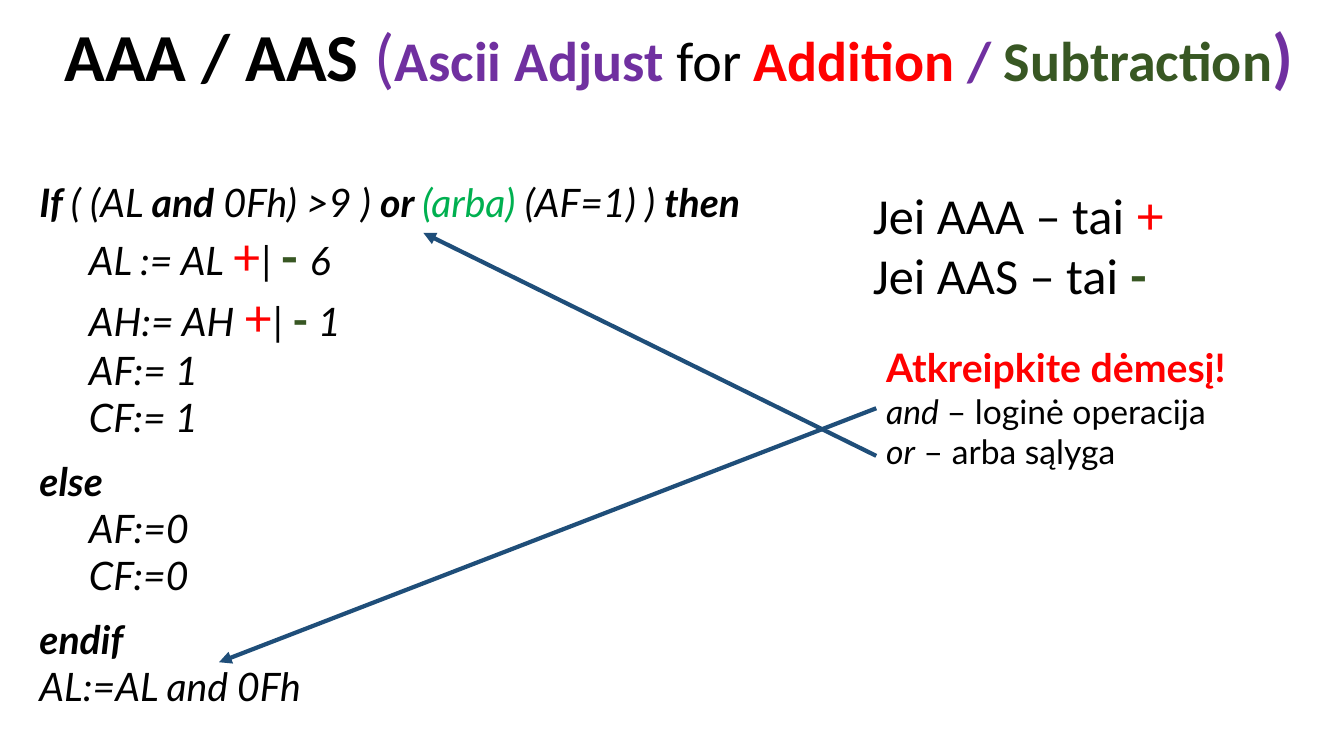
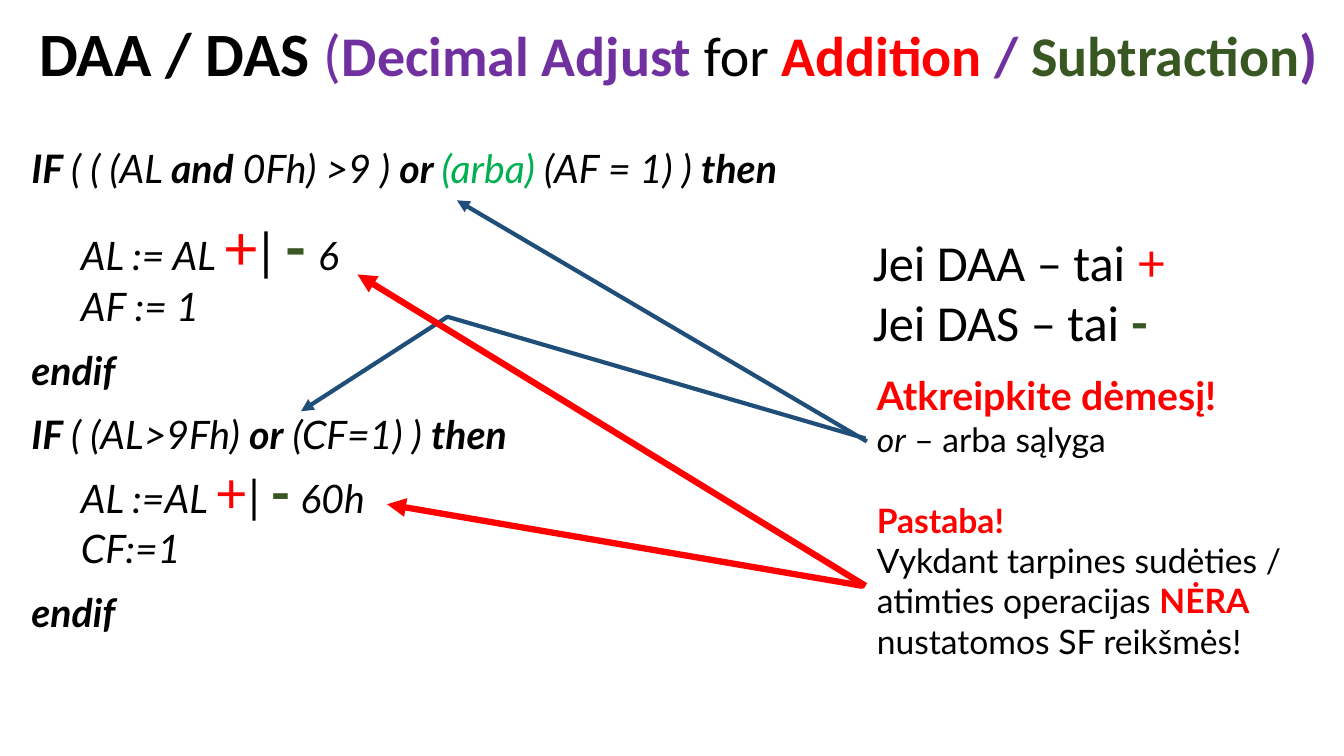
from lxml import etree
from pptx import Presentation
from pptx import util as u
from pptx.dml.color import RGBColor
from pptx.enum import shapes, text
from pptx.oxml.ns import qn

# Shared look
BLACK = RGBColor(0x00, 0x00, 0x00)
RED = RGBColor(0xFF, 0x00, 0x00)
GREEN = RGBColor(0x00, 0xB0, 0x50)
DARK_GREEN = RGBColor(0x38, 0x57, 0x23)
PURPLE = RGBColor(0x70, 0x30, 0xA0)
NAVY = RGBColor(0x1F, 0x4E, 0x79)

WIDTH, HEIGHT = u.Inches(13.33), u.Inches(7.5)
TITLE_AREA = (1.6, 1.3, 97.8, 12)
TAB_STOP = u.Inches(0.49)


def style(size, color=BLACK, name="Lato", bold=False, italic=False):
    return {"size": u.Pt(size), "color": color, "name": name, "bold": bold, "italic": italic}


CODE = style(28, italic=True)
KEYWORD = style(28, bold=True, italic=True)
OR_HINT = style(28, GREEN, italic=True)
RULE = style(36, name="Calibri")
ALERT = style(28, RED, bold=True)
NOTE = style(24)
NOTE_TERM = style(24, italic=True)
NOTE_ALERT = style(24, RED, bold=True)


# Positions are percentages of the slide's width and height
def across(share):
    return round(WIDTH * share / 100)


def down(share):
    return round(HEIGHT * share / 100)


# Text
def add_span(para, words, look):
    for index, line in enumerate(words.split("\n")):
        if index:
            para.add_line_break()
        if line:
            span = para.add_run()
            span.text = line
            for key, value in look.items():
                if key == "color":
                    span.font.color.rgb = value
                else:
                    setattr(span.font, key, value)


def add_text(page, area, paragraphs, wrap=True, **layout):
    left, top, width, height = area
    box = page.shapes.add_textbox(across(left), down(top), across(width), down(height))
    frame = box.text_frame
    frame.word_wrap = wrap
    frame.auto_size = text.MSO_AUTO_SIZE.SHAPE_TO_FIT_TEXT
    for index, spans in enumerate(paragraphs):
        para = frame.add_paragraph() if index else frame.paragraphs[0]
        for key, value in layout.items():
            setattr(para, key, value)
        for words, look in spans:
            add_span(para, words, look)
    return box


def add_title(page, names, size, bracket_size, opening):
    def part(words, points, color=BLACK, bold=True):
        return words, style(points, color, "Calibri", bold)

    spans = [
        part(names + " ", size),
        part("(", bracket_size, PURPLE, False),
        part(opening + " Adjust ", 40, PURPLE),
        part("for ", 40, bold=False),
        part("Addition ", 40, RED),
        part("/ ", 40, PURPLE),
        part("Subtraction", 40, DARK_GREEN),
        part(")", bracket_size, PURPLE),
    ]
    add_text(page, TITLE_AREA, [spans], wrap=False, alignment=text.PP_ALIGN.CENTER)


def add_code(page, area, paragraphs):
    box = add_text(page, area, paragraphs, space_after=u.Pt(12))
    for para in box.text_frame.paragraphs:
        stops = etree.SubElement(para._p.get_or_add_pPr(), qn("a:tabLst"))
        etree.SubElement(stops, qn("a:tab"), pos=str(TAB_STOP), algn="l")


def plus_or_minus(plus_size, bar_size, minus_size, gap_size):
    return [
        ("+", style(plus_size, RED)),
        ("| ", style(bar_size, italic=True)),
        ("-", style(minus_size, DARK_GREEN, bold=True)),
        (" ", style(gap_size, italic=True)),
    ]


def add_sign_rules(page, top, addition, subtraction):
    add_text(page, (64.2, top, 35.8, 17.5), [
        [(f"Jei {addition} – tai ", RULE), ("+", style(36, RED))],
        [(f"Jei {subtraction} – tai ", RULE), ("-", style(36, DARK_GREEN, bold=True))],
    ])


# Arrows
def finish_arrow(arrow, color, weight):
    arrow.line.color.rgb = color
    arrow.line.width = u.Pt(weight)
    etree.SubElement(arrow.line._get_or_add_ln(), qn("a:tailEnd"), type="triangle")


def add_arrow(page, start, end, color=NAVY, weight=3):
    arrow = page.shapes.add_connector(
        shapes.MSO_CONNECTOR.STRAIGHT,
        across(start[0]), down(start[1]), across(end[0]), down(end[1]))
    finish_arrow(arrow, color, weight)
    etree.SubElement(arrow._element.spPr, qn("a:effectLst"))
    return arrow


def add_bent_arrow(page, points):
    corners = [(across(x), down(y)) for x, y in points]
    builder = page.shapes.build_freeform(*corners[0])
    builder.add_line_segments(corners[1:], close=False)
    arrow = builder.convert_to_shape()
    arrow.fill.background()
    finish_arrow(arrow, NAVY, 3)
    arrow.shadow.inherit = False


# Slides
def build_ascii_page(page):
    add_code(page, (2.2, 22.9, 58.2, 72.3), [
        [("If ", KEYWORD), ("( (AL ", CODE), ("and", KEYWORD), (" 0Fh) >9 ) ", CODE),
         ("or ", KEYWORD), ("(arba) ", OR_HINT), ("(AF=1) ) ", CODE), ("then", KEYWORD),
         ("\n\tAL := AL ", CODE), *plus_or_minus(36, 28, 36, 32),
         ("6\n\tAH:= AH ", CODE), *plus_or_minus(36, 28, 32, 28),
         ("1\n\tAF:= 1\n\tCF:= 1", CODE)],
        [("else", KEYWORD), ("\n\tAF:=0\n\tCF:=0", CODE)],
        [("endif", KEYWORD), ("\nAL:=AL and 0Fh", CODE)],
    ])
    add_title(page, "AAA / AAS", 48, 48, "Ascii")
    add_sign_rules(page, 23.7, "AAA", "AAS")
    notes = add_text(page, (65.2, 44.8, 34.8, 18.4), [
        [("Atkreipkite dėmesį!", ALERT)],
        [("and ", NOTE_TERM), ("– loginė operacija", NOTE)],
        [("or", NOTE_TERM), (" – arba sąlyga", NOTE)],
    ])
    add_arrow(page, (65.2, 60.3), (31.5, 30.8))
    and_arrow = add_arrow(page, (65.2, 54), (16.3, 87.6))
    and_arrow.begin_connect(notes, 1)


def build_decimal_page(page):
    add_code(page, (1.6, 18.5, 81.5, 66.9), [
        [("IF ", KEYWORD), ("( ( (AL ", CODE), ("and", KEYWORD), (" 0Fh) >9 ) ", CODE),
         ("or ", KEYWORD), ("(arba) ", OR_HINT), ("(AF = 1) ) ", CODE), ("then", KEYWORD)],
        [("\tAL := AL ", CODE), *plus_or_minus(44, 36, 44, 32), ("6\n\tAF := 1", CODE)],
        [("endif", KEYWORD)],
        [("IF ", KEYWORD), ("( (AL>9Fh) ", CODE), ("or", KEYWORD), (" (CF=1) ) ", CODE),
         ("then", KEYWORD), ("\n\tAL :=AL ", CODE), *plus_or_minus(40, 32, 40, 28),
         ("60h\n\tCF:=1", CODE)],
        [("endif", KEYWORD)],
    ])
    add_title(page, "DAA / DAS", 44, 42, "Decimal")
    add_sign_rules(page, 29.9, "DAA", "DAS")
    notes = add_text(page, (64.5, 48.5, 34.8, 40), [
        [("Atkreipkite dėmesį!", ALERT)],
        [("or", NOTE_TERM), (" – arba sąlyga", NOTE)],
        [("Pastaba!", NOTE_ALERT)],
        [("Vykdant tarpines sudėties / atimties operacijas ", NOTE), ("NĖRA ", NOTE_ALERT),
         ("nustatomos SF reikšmės!", NOTE)],
    ])
    notes.text_frame.paragraphs[2].space_before = u.Pt(29)
    add_arrow(page, (64.5, 58.4), (34, 26.5))
    add_bent_arrow(page, [(64.4, 58), (33.3, 41.9), (22.4, 54.4)])
    add_arrow(page, (64.4, 77.5), (26.6, 36.3), RED, 4.5)
    add_arrow(page, (64.2, 77.5), (28.8, 66.7), RED, 4.5)


def main():
    deck = Presentation()
    deck.slide_width, deck.slide_height = WIDTH, HEIGHT
    for build_page in (build_ascii_page, build_decimal_page):
        build_page(deck.slides.add_slide(deck.slide_layouts[6]))
    deck.save("out.pptx")


if __name__ == "__main__":
    main()
